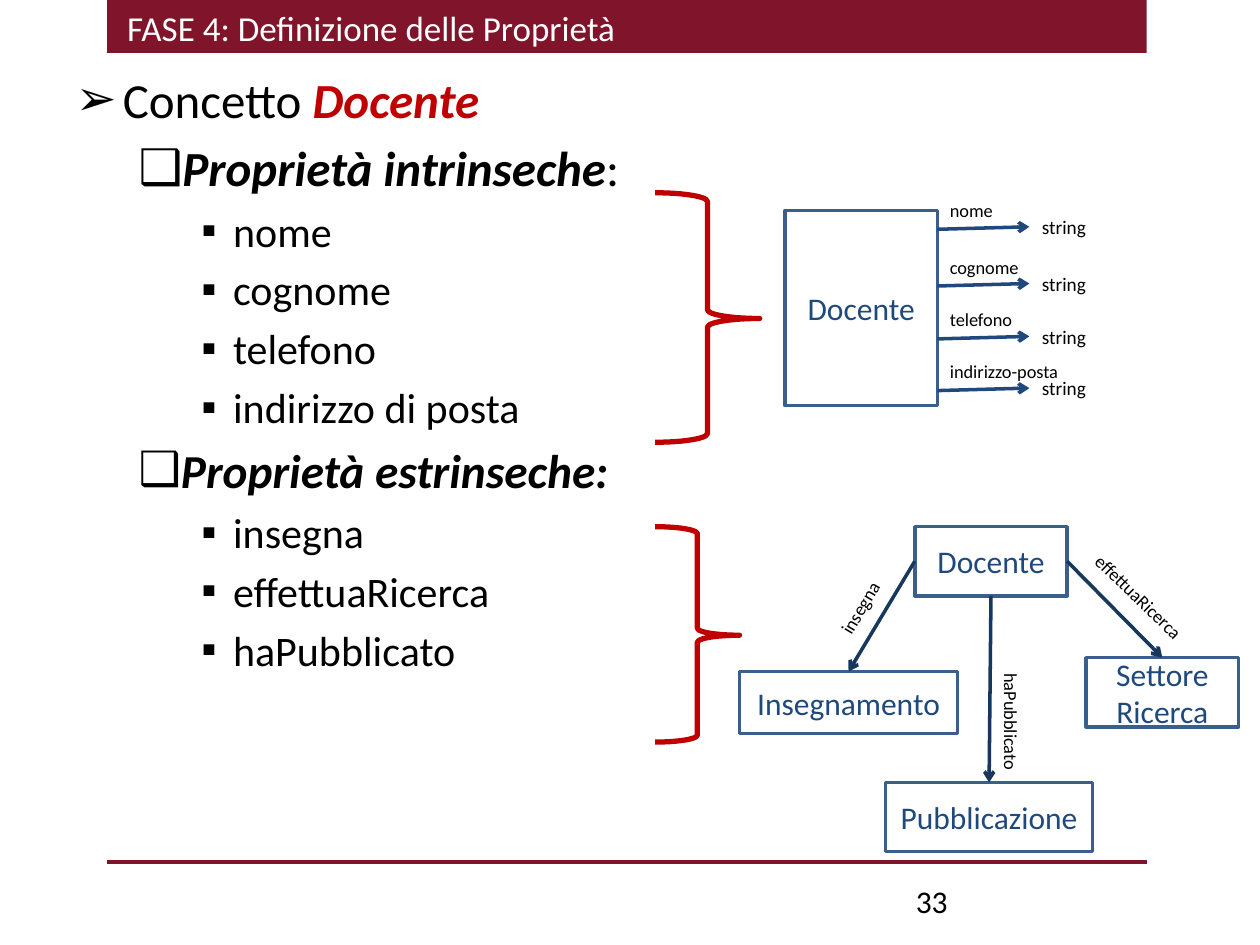
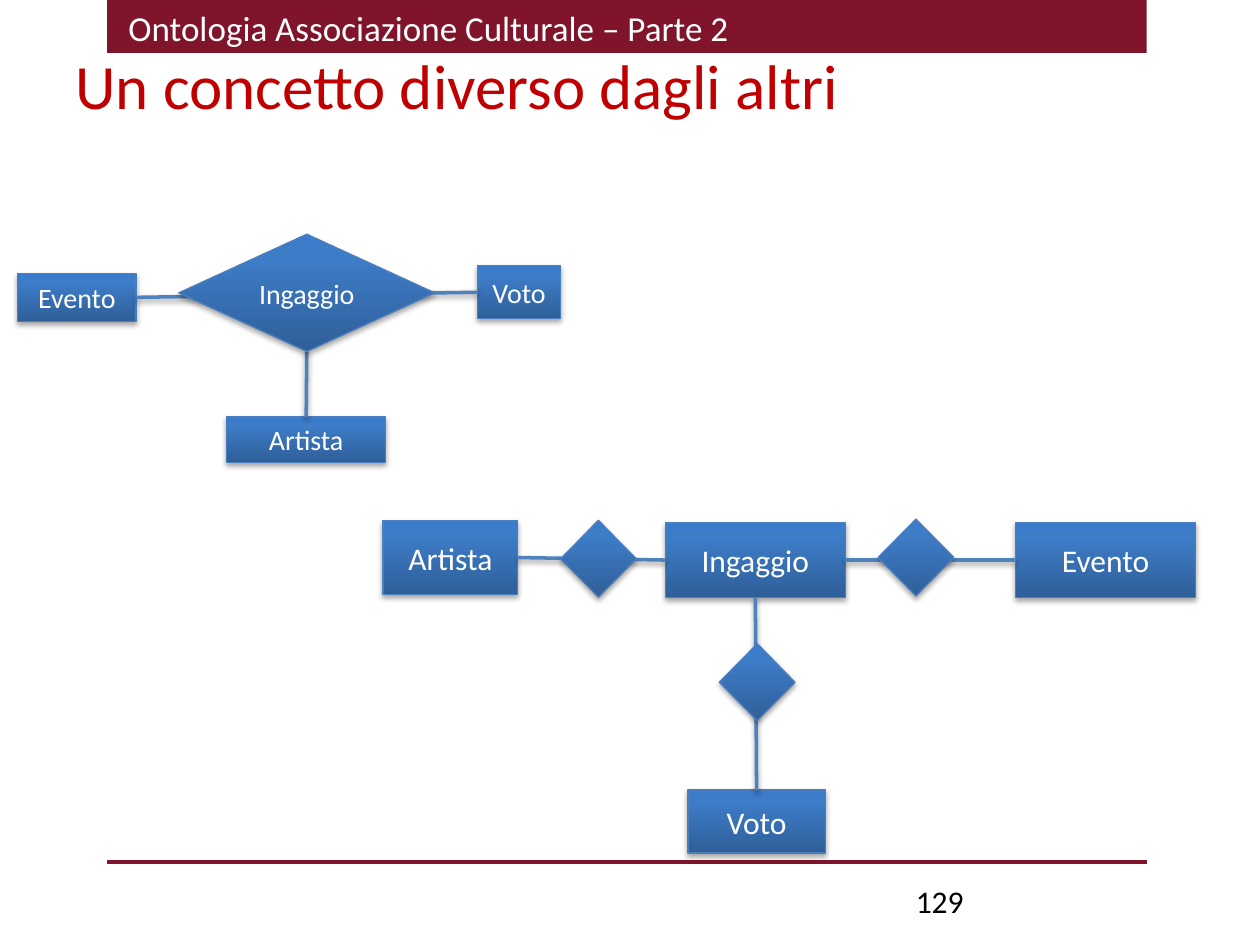
"""Build two ontology slides: properties of Docente and the Ingaggio concept."""
from dataclasses import dataclass
from typing import NamedTuple

from pptx import Presentation
from pptx.dml.color import RGBColor
from pptx.enum.shapes import MSO_CONNECTOR, MSO_SHAPE
from pptx.enum.text import MSO_ANCHOR, MSO_AUTO_SIZE, PP_ALIGN
from pptx.oxml import parse_xml
from pptx.oxml.ns import nsdecls, qn
from pptx.shapes.autoshape import Shape
from pptx.shapes.connector import Connector
from pptx.slide import Slide
from pptx.text.text import TextFrame
from pptx.util import Inches, Pt

TOP, LEFT, BOTTOM, RIGHT = 0, 1, 2, 3


@dataclass(frozen=True)
class Theme:
    """Colours, font and type sizes."""
    font: str = "Calibri"
    band: str = "7F142A"
    accent: str = "C00000"
    text: str = "000000"
    light: str = "FFFFFF"
    class_text: str = "1F497D"
    class_line: str = "3A5F8C"
    relation: str = "17375E"
    entity_line: str = "4B7EBC"
    link: str = "4F81BD"
    gradient: tuple = ((0, "2F5F99"), (80, "3D7CC7"), (100, "3A7CCB"))
    title_size: float = 36
    band_size: float = 20
    topic_size: float = 28
    group_size: float = 27
    item_size: float = 24
    node_size: float = 18
    small_node_size: float = 16
    type_size: float = 11
    label_size: float = 10.5


THEME = Theme()


class Area(NamedTuple):
    """Left, top, width and height in inches."""
    left: float
    top: float
    width: float
    height: float

    def lengths(self) -> list:
        return [Inches(value) for value in self]


class Node(NamedTuple):
    """A named rectangle of a diagram."""
    name: str
    area: Area


class Label(NamedTuple):
    """A relation name and its rotation."""
    text: str
    area: Area
    rotation: float = 0


class Words(NamedTuple):
    """A piece of a list line with its own look."""
    text: str
    size: float
    color: str = THEME.text
    strong: bool = False


class Line(NamedTuple):
    """One line of the bulleted list."""
    level: int
    words: list


class Link(NamedTuple):
    """A connector between sides of two nodes."""
    start: str
    start_side: int
    end: str
    end_side: int


BULLETS = ("➢", "❑", "▪")
BAND = Area(0.85, 0, 8.25, 0.42)
RULE_Y = 6.84


def items(*names: str) -> list[Line]:
    return [Line(2, [Words(name, THEME.item_size)]) for name in names]


PROPERTY_LINES = [
    Line(0, [Words("Concetto ", THEME.topic_size),
             Words("Docente", THEME.topic_size, THEME.accent, True)]),
    Line(1, [Words("Proprietà intrinseche", THEME.topic_size, strong=True),
             Words(":", THEME.topic_size)]),
    *items("nome", "cognome", "telefono", "indirizzo di posta"),
    Line(1, [Words("Proprietà estrinseche:", THEME.group_size, strong=True)]),
    *items("insegna", "effettuaRicerca", "haPubblicato"),
]
BRACES = [Area(5.2, 1.53, 0.83, 1.98), Area(5.2, 4.18, 0.67, 1.71)]
ATTRIBUTES = [("nome", 1.82, 0.55), ("cognome", 2.27, 0.76),
              ("telefono", 2.69, 0.71), ("indirizzo-posta", 3.1, 1.08)]
CLASSES = [
    Node("Docente", Area(7.26, 4.18, 1.21, 0.55)),
    Node("Insegnamento", Area(5.87, 5.33, 1.73, 0.49)),
    Node("Settore Ricerca", Area(8.62, 5.22, 1.21, 0.55)),
    Node("Pubblicazione", Area(7.03, 6.21, 1.64, 0.55)),
]
RELATIONS = [
    Link("Docente", LEFT, "Insegnamento", TOP),
    Link("Docente", RIGHT, "Settore Ricerca", TOP),
    Link("Docente", BOTTOM, "Pubblicazione", TOP),
]
RELATION_LABELS = [
    Label("insegna", Area(6.5, 4.68, 0.66, 0.28), 301),
    Label("haPubblicato", Area(7.53, 5.6, 0.99, 0.28), 90),
    Label("effettuaRicerca", Area(8.49, 4.61, 1.12, 0.28), 44),
]
TERNARY_NODES = [
    Node("Evento", Area(0.14, 2.17, 0.94, 0.38)),
    Node("Artista", Area(1.8, 3.31, 1.26, 0.36)),
    Node("Voto", Area(3.79, 2.11, 0.66, 0.42)),
]
TERNARY_DIAMOND = Node("Ingaggio", Area(1.42, 1.86, 2.03, 0.93))
REIFIED_NODES = [
    Node("Evento", Area(8.06, 4.15, 1.43, 0.59)),
    Node("Ingaggio", Area(5.28, 4.15, 1.43, 0.59)),
    Node("Artista", Area(3.04, 4.13, 1.07, 0.59)),
    Node("Voto", Area(5.46, 6.27, 1.09, 0.5)),
]
REIFIED_LINKS = [
    Link("Ingaggio", RIGHT, "Evento", LEFT),
    Link("Ingaggio", BOTTOM, "Voto", TOP),
    Link("Artista", RIGHT, "Ingaggio", LEFT),
]
REIFIED_DIAMONDS = [(6.97, 4.12), (4.45, 4.13), (5.71, 5.11)]


def rgb(color: str) -> RGBColor:
    return RGBColor.from_string(color)


def style_text(frame: TextFrame, size: float, color: str, align=PP_ALIGN.LEFT) -> None:
    for para in frame.paragraphs:
        para.alignment = align
        for span in para.runs:
            span.font.name, span.font.size = THEME.font, Pt(size)
            span.font.color.rgb = rgb(color)


def add_label(page: Slide, text: str, area: Area, size: float, color: str = THEME.text,
              rotation: float = 0, wrap: bool = False) -> None:
    box = page.shapes.add_textbox(*area.lengths())
    box.rotation = rotation
    frame = box.text_frame
    frame.word_wrap = wrap
    frame.auto_size = MSO_AUTO_SIZE.NONE if wrap else MSO_AUTO_SIZE.SHAPE_TO_FIT_TEXT
    frame.text = text
    style_text(frame, size, color)


def add_outline(page: Slide, kind: MSO_SHAPE, area: Area, color: str, width: float) -> Shape:
    shape = page.shapes.add_shape(kind, *area.lengths())
    shape.shadow.inherit = False
    shape.fill.background()
    shape.line.color.rgb = rgb(color)
    shape.line.width = Pt(width)
    return shape


def write_node(shape: Shape, name: str, size: float, color: str) -> None:
    frame = shape.text_frame
    frame.word_wrap = True
    frame.vertical_anchor = MSO_ANCHOR.MIDDLE
    frame.text = name
    style_text(frame, size, color, PP_ALIGN.CENTER)


def add_class(page: Slide, node: Node) -> Shape:
    shape = add_outline(page, MSO_SHAPE.RECTANGLE, node.area, THEME.class_line, 2)
    write_node(shape, node.name, THEME.node_size, THEME.class_text)
    return shape


def effects(shadow: str = "") -> str:
    return f"<a:effectLst {nsdecls('a')}>{shadow}</a:effectLst>"


def shadow_effects(distance: int, alpha: int) -> str:
    return effects(f'<a:outerShdw blurRad="40000" dist="{distance}" dir="5400000" '
                   f'rotWithShape="0"><a:srgbClr val="000000"><a:alpha val="{alpha}"/>'
                   '</a:srgbClr></a:outerShdw>')


def add_entity(page: Slide, kind: MSO_SHAPE, node: Node, size: float) -> Shape:
    shape = add_outline(page, kind, node.area, THEME.entity_line, 0.75)
    stops = "".join(f'<a:gs pos="{place * 1000}"><a:srgbClr val="{color}"/></a:gs>'
                    for place, color in THEME.gradient)
    gradient = parse_xml(f"<a:gradFill {nsdecls('a')}><a:gsLst>{stops}</a:gsLst>"
                         '<a:lin ang="16200000" scaled="0"/></a:gradFill>')
    properties = shape._element.spPr
    properties.replace(properties.find(qn("a:noFill")), gradient)
    properties.replace(properties.find(qn("a:effectLst")),
                       parse_xml(shadow_effects(23000, 35000)))
    if node.name:
        write_node(shape, node.name, size, THEME.light)
    return shape


def add_line(page: Slide, color: str, start=(0, 0), end=(0, 0), arrow: bool = False,
             effect: str = effects()) -> Connector:
    points = [Inches(value) for value in (*start, *end)]
    line = page.shapes.add_connector(MSO_CONNECTOR.STRAIGHT, *points)
    line.line.color.rgb = rgb(color)
    line.line.width = Pt(2)
    if arrow:
        line.line._get_or_add_ln().append(
            parse_xml(f'<a:tailEnd {nsdecls("a")} type="arrow"/>'))
    line._element.spPr.append(parse_xml(effect))
    return line


def join(line: Connector, shapes: dict[str, Shape], link: Link) -> None:
    line.begin_connect(shapes[link.start], link.start_side)
    line.end_connect(shapes[link.end], link.end_side)


def set_title(page: Slide, text: str, area: Area, size: float, color: str,
              anchor=MSO_ANCHOR.MIDDLE) -> None:
    title = page.shapes.title
    title.left, title.top, title.width, title.height = area.lengths()
    frame = title.text_frame
    frame.auto_size = MSO_AUTO_SIZE.NONE
    frame.vertical_anchor = anchor
    frame.text = text
    style_text(frame, size, color)


def add_frame(page: Slide, number: str) -> None:
    band = page.shapes.add_shape(MSO_SHAPE.RECTANGLE, *BAND.lengths())
    band.shadow.inherit = False
    band.fill.solid()
    band.fill.fore_color.rgb = rgb(THEME.band)
    band.line.fill.background()
    page.shapes._spTree.insert(2, band._element)
    add_line(page, THEME.band, (BAND.left, RULE_Y), (BAND.left + BAND.width, RULE_Y))
    add_label(page, number, Area(7.17, 6.95, 2.33, 0.4), THEME.node_size, wrap=True)


def fill_list(page: Slide, lines: list[Line]) -> None:
    body = page.placeholders[1]
    body.left, body.top, body.width, body.height = Area(0.5, 0.5, 9, 6.55).lengths()
    frame = body.text_frame
    frame.auto_size = MSO_AUTO_SIZE.NONE
    for index, line in enumerate(lines):
        para = frame.add_paragraph() if index else frame.paragraphs[0]
        para.level = line.level
        if not index:
            para.space_before = Pt(0)
        properties = para._p.get_or_add_pPr()
        for bullet in (f'buFont {nsdecls("a")} typeface="{THEME.font}"',
                       f'buChar {nsdecls("a")} char="{BULLETS[line.level]}"'):
            properties.append(parse_xml(f"<a:{bullet}/>"))
        for words in line.words:
            span = para.add_run()
            span.text = words.text
            span.font.name, span.font.size = THEME.font, Pt(words.size)
            span.font.bold = span.font.italic = words.strong
            span.font.color.rgb = rgb(words.color)


def build_properties(page: Slide) -> None:
    add_frame(page, "33")
    set_title(page, "FASE 4: Definizione delle Proprietà", Area(0.91, 0, 8, 0.44),
              THEME.band_size, THEME.light, MSO_ANCHOR.TOP)
    fill_list(page, PROPERTY_LINES)
    for area in BRACES:
        brace = add_outline(page, MSO_SHAPE.RIGHT_BRACE, area, THEME.accent, 3)
        brace.adjustments[0], brace.adjustments[1] = 0.083, 0.504
    add_class(page, Node("Docente", Area(6.23, 1.67, 1.21, 1.55)))
    for name, y, width in ATTRIBUTES:
        add_line(page, THEME.class_text, (7.44, y), (8.17, y - 0.02), arrow=True)
        add_label(page, name, Area(7.44, y - 0.29, width, 0.28), THEME.label_size)
        add_label(page, "string", Area(8.17, y - 0.16, 0.61, 0.29), THEME.type_size)
    shapes = {node.name: add_class(page, node) for node in CLASSES}
    for link in RELATIONS:
        join(add_line(page, THEME.relation, arrow=True), shapes, link)
    for label in RELATION_LABELS:
        add_label(page, label.text, label.area, THEME.label_size, rotation=label.rotation)


def build_concept(page: Slide) -> None:
    add_frame(page, "129")
    set_title(page, "Un concetto diverso dagli altri", Area(0.5, 0.3, 9, 0.74),
              THEME.title_size, THEME.accent)
    add_label(page, "Ontologia Associazione Culturale – Parte 2",
              Area(0.92, 0, 5.01, 0.44), THEME.band_size, THEME.light)
    shade = shadow_effects(20000, 38000)

    small = THEME.small_node_size
    ternary = {node.name: add_entity(page, MSO_SHAPE.RECTANGLE, node, small)
               for node in TERNARY_NODES}
    join(add_line(page, THEME.link, effect=shade), ternary,
         Link("Evento", RIGHT, "Voto", LEFT))
    stem = add_line(page, THEME.link, (2.43, 2.78), (2.43, 3.31), effect=shade)
    diamond = add_entity(page, MSO_SHAPE.DIAMOND, TERNARY_DIAMOND, small)
    stem.begin_connect(diamond, BOTTOM)
    stem.end_connect(ternary["Artista"], TOP)

    reified = {node.name: add_entity(page, MSO_SHAPE.RECTANGLE, node, THEME.node_size)
               for node in REIFIED_NODES}
    for link in REIFIED_LINKS:
        join(add_line(page, THEME.link, effect=shade), reified, link)
    for left, top in REIFIED_DIAMONDS:
        add_entity(page, MSO_SHAPE.DIAMOND, Node("", Area(left, top, 0.6, 0.61)), small)


def main() -> None:
    deck = Presentation()
    deck.slide_width, deck.slide_height = Inches(10), Inches(7.5)
    build_properties(deck.slides.add_slide(deck.slide_layouts[1]))
    build_concept(deck.slides.add_slide(deck.slide_layouts[5]))
    deck.save("out.pptx")


if __name__ == "__main__":
    main()
